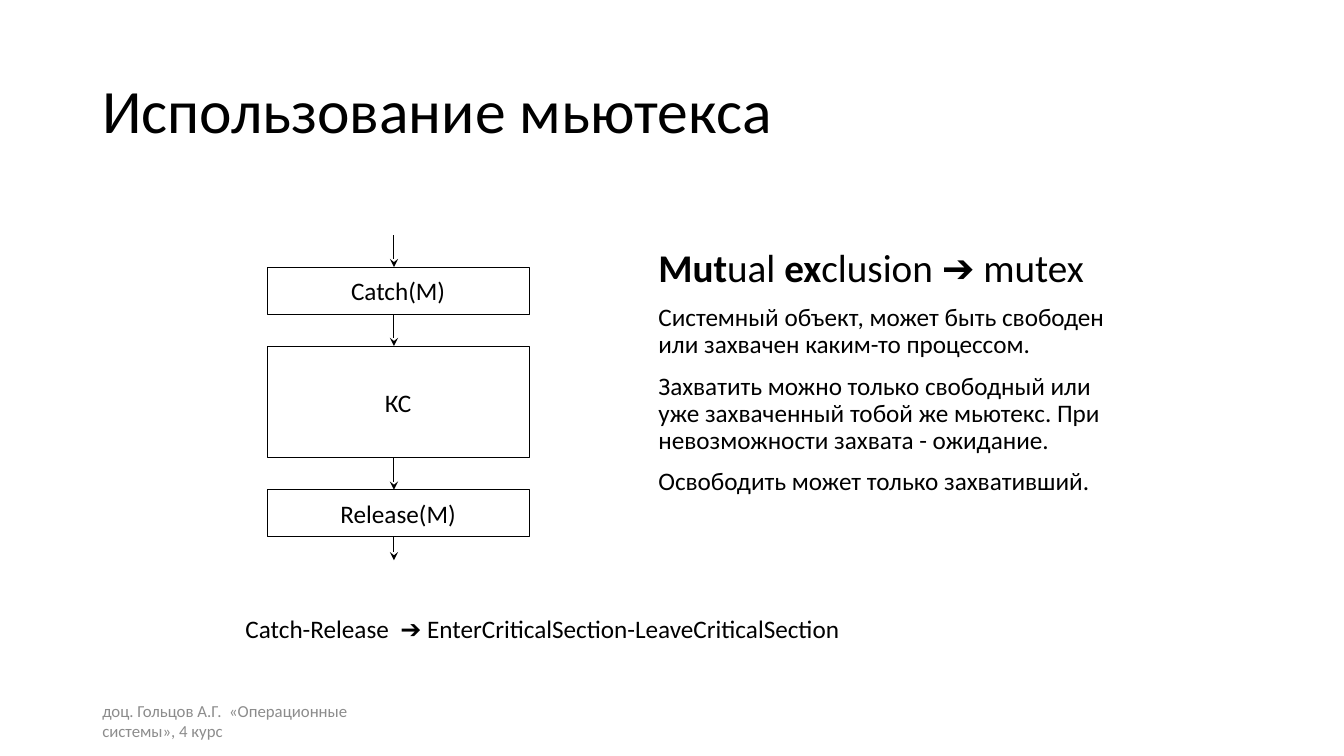
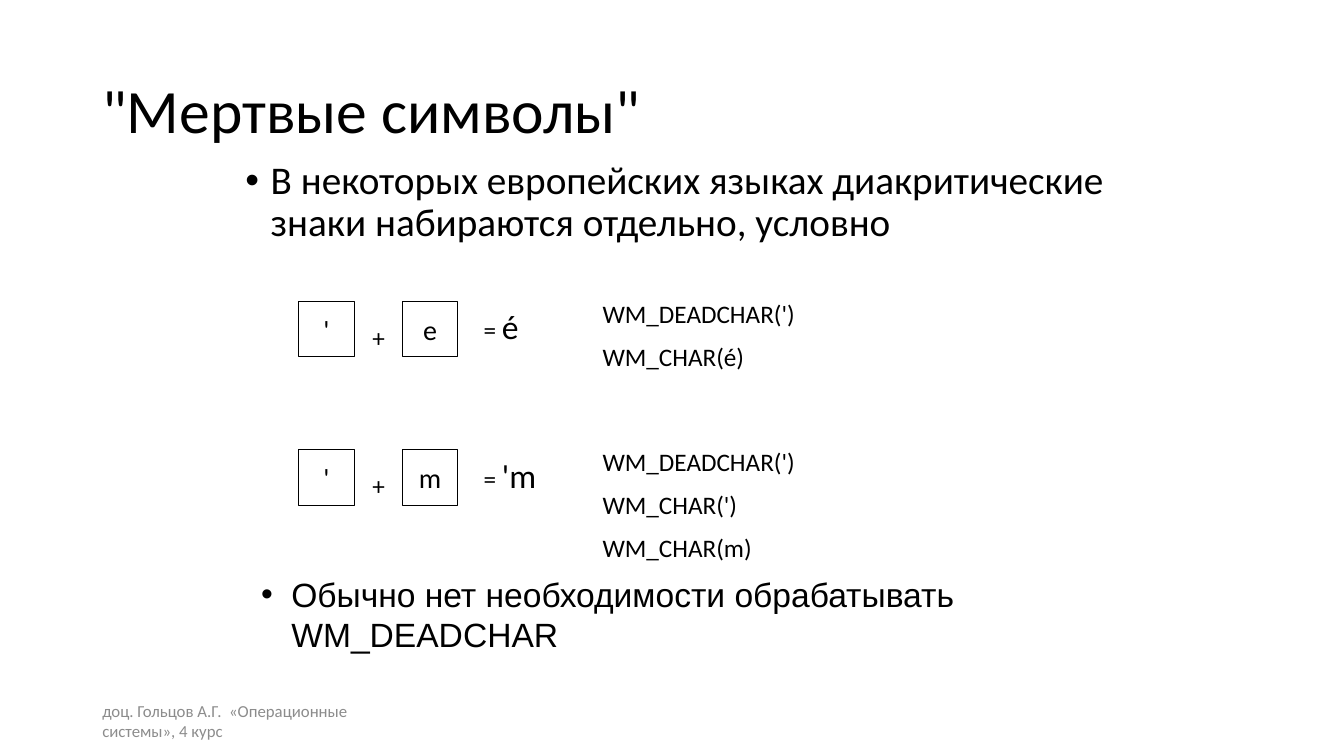
from dataclasses import dataclass

from pptx import Presentation
from pptx.dml.color import RGBColor
from pptx.enum.shapes import MSO_CONNECTOR, MSO_SHAPE
from pptx.enum.text import MSO_ANCHOR, PP_ALIGN
from pptx.oxml.ns import qn
from pptx.oxml.xmlchemy import OxmlElement
from pptx.util import Emu, Pt

RECTANGLE = MSO_SHAPE.RECTANGLE
STRAIGHT = MSO_CONNECTOR.STRAIGHT
TOP, MIDDLE = MSO_ANCHOR.TOP, MSO_ANCHOR.MIDDLE
LEFT, CENTER = PP_ALIGN.LEFT, PP_ALIGN.CENTER


@dataclass(frozen=True)
class Theme:
    ink: RGBColor = RGBColor(0x00, 0x00, 0x00)
    muted: RGBColor = RGBColor(0x8C, 0x8C, 0x8C)
    font: str = "Calibri"
    note_font: str = "Arial"
    bullet_font: str = "Arial"
    title: int = 44
    lead: int = 28
    large: int = 24
    key: int = 20
    body: int = 18
    footer: int = 12
    line: float = 0.75


THEME = Theme()

# The slide is a grid of 160 columns by 90 rows of square cells.
COLUMNS, ROWS, CELL = 160, 90, 76200
FOOTER = "доц. Гольцов А.Г.  «Операционные системы», 4 курс"


def cells(*counts):
    """Turn counts of grid cells into lengths."""
    return [Emu(round(count * CELL)) for count in counts]


def write(slide, area, paragraphs, size=THEME.body, font=THEME.font, color=THEME.ink,
          anchor=TOP, align=LEFT, line_spacing=None, before=0, bullet_indent=0,
          outlined=False):
    """Place text in an area of cells; a paragraph is a list of (text, run format)."""
    if outlined:
        shape = slide.shapes.add_shape(RECTANGLE, *cells(*area))
        shape.shadow.inherit = False
        shape.fill.background()
        shape.line.color.rgb = THEME.ink
        shape.line.width = Pt(THEME.line)
    else:
        shape = slide.shapes.add_textbox(*cells(*area))
    frame = shape.text_frame
    frame.word_wrap = not outlined
    frame.vertical_anchor = anchor
    if isinstance(paragraphs, str):
        paragraphs = [paragraphs]
    for index, runs in enumerate(paragraphs):
        paragraph = frame.add_paragraph() if index else frame.paragraphs[0]
        paragraph.alignment = align
        paragraph.space_before = Pt(before)
        if line_spacing:
            paragraph.line_spacing = line_spacing
        if bullet_indent:
            indent = cells(bullet_indent)[0]
            properties = paragraph._p.get_or_add_pPr()
            properties.set("marL", str(indent))
            properties.set("indent", str(-indent))
            for tag, name, value in (("a:buFont", "typeface", THEME.bullet_font),
                                     ("a:buChar", "char", "•")):
                bullet = OxmlElement(tag)
                bullet.set(name, value)
                properties.append(bullet)
        for text, style in [(runs, {})] if isinstance(runs, str) else runs:
            run = paragraph.add_run()
            run.text = text
            run.font.name = font
            run.font.size = Pt(style.get("size", size))
            run.font.bold = style.get("bold", False)
            run.font.color.rgb = color


deck = Presentation()
deck.slide_width, deck.slide_height = cells(COLUMNS, ROWS)
blank = deck.slide_layouts[6]

slides = []
for title in ("Использование мьютекса", '"Мертвые символы"'):
    slide = deck.slides.add_slide(blank)
    write(slide, (11, 83.4, 36, 4.8), FOOTER, size=THEME.footer, color=THEME.muted,
          anchor=MIDDLE)
    write(slide, (11, 4.8, 138, 17.4), title, size=THEME.title, anchor=MIDDLE,
          line_spacing=0.9)
    slides.append(slide)
mutex, dead_keys = slides

# Mutex: definition, flow and the matching calls
lead, strong = {"size": THEME.lead}, {"size": THEME.lead, "bold": True}
write(mutex, (77.2, 29, 56.6, 38.8), [
    [("Mut", strong), ("ual ", lead), ("ex", strong), ("clusion ➔ mutex", lead)],
    "Системный объект, может быть свободен или захвачен каким-то процессом.",
    "Захватить можно только свободный или уже захваченный тобой же мьютекс. "
    "При невозможности захвата - ожидание.",
    "Освободить может только захвативший.",
], line_spacing=0.9, before=10)

flow_left, flow_top, flow_width, flow_gap = 31.8, 31.8, 31.2, 3.8
arrow_column, exit_length = 46.9, 2.8
step_top = flow_top
arrow_spans = [(flow_top - flow_gap, flow_top)]
for label, height, arrow_length in (("Catch(M)", 5.6, flow_gap), ("КС", 13.3, flow_gap),
                                    ("Release(M)", 5.6, exit_length)):
    write(mutex, (flow_left, step_top, flow_width, height), label,
          anchor=MIDDLE, align=CENTER, outlined=True)
    step_bottom = step_top + height
    step_top = step_bottom + arrow_length
    arrow_spans.append((step_bottom, step_top))

for start, end in arrow_spans:
    arrow = mutex.shapes.add_connector(
        STRAIGHT, *cells(arrow_column, start, arrow_column, end))
    arrow.line.color.rgb = THEME.ink
    arrow.line.width = Pt(THEME.line)
    head = OxmlElement("a:tailEnd")
    head.set("type", "stealth")
    arrow.element.spPr.find(qn("a:ln")).append(head)
    arrow.element.spPr.append(OxmlElement("a:effectLst"))

write(mutex, (28.05, 72.4, 107.8, 4.8),
      "Catch-Release  ➔ EnterCriticalSection-LeaveCriticalSection")

# Dead keys: one row per key combination
write(dead_keys, (28.05, 18.55, 108, 11.3),
      "В некоторых европейских языках диакритические знаки набираются отдельно, условно",
      size=THEME.lead, line_spacing=0.9, before=10, bullet_indent=3)

key_size, first_row, row_step = 6.6, 35.85, 17.7
combinations = [
    ("e", "é", ["WM_DEADCHAR(')", "WM_CHAR(é)"]),
    ("m", "'m", ["WM_DEADCHAR(')", "WM_CHAR(')", "WM_CHAR(m)"]),
]
for index, (letter, result, messages) in enumerate(combinations):
    row = first_row + index * row_step
    for key_left, key in ((35.55, "'"), (47.9, letter)):
        write(dead_keys, (key_left, row, key_size, key_size), key, size=THEME.key,
              anchor=MIDDLE, align=CENTER, outlined=True)
    write(dead_keys, (43.15, row + 1.9, 7.6, 4.8), "+")
    write(dead_keys, (56.4, row, 9.5, 6), [[("= ", {}), (result, {"size": THEME.large})]])
    write(dead_keys, (70.55, row - 0.95, 53.9, 5.2 * len(messages)), messages,
          before=THEME.body / 2)

write(dead_keys, (29.9, 67.7, 97.6, 10.9),
      "Обычно нет необходимости обрабатывать WM_DEADCHAR",
      size=THEME.large, font=THEME.note_font, bullet_indent=3.6)

deck.save("out.pptx")
